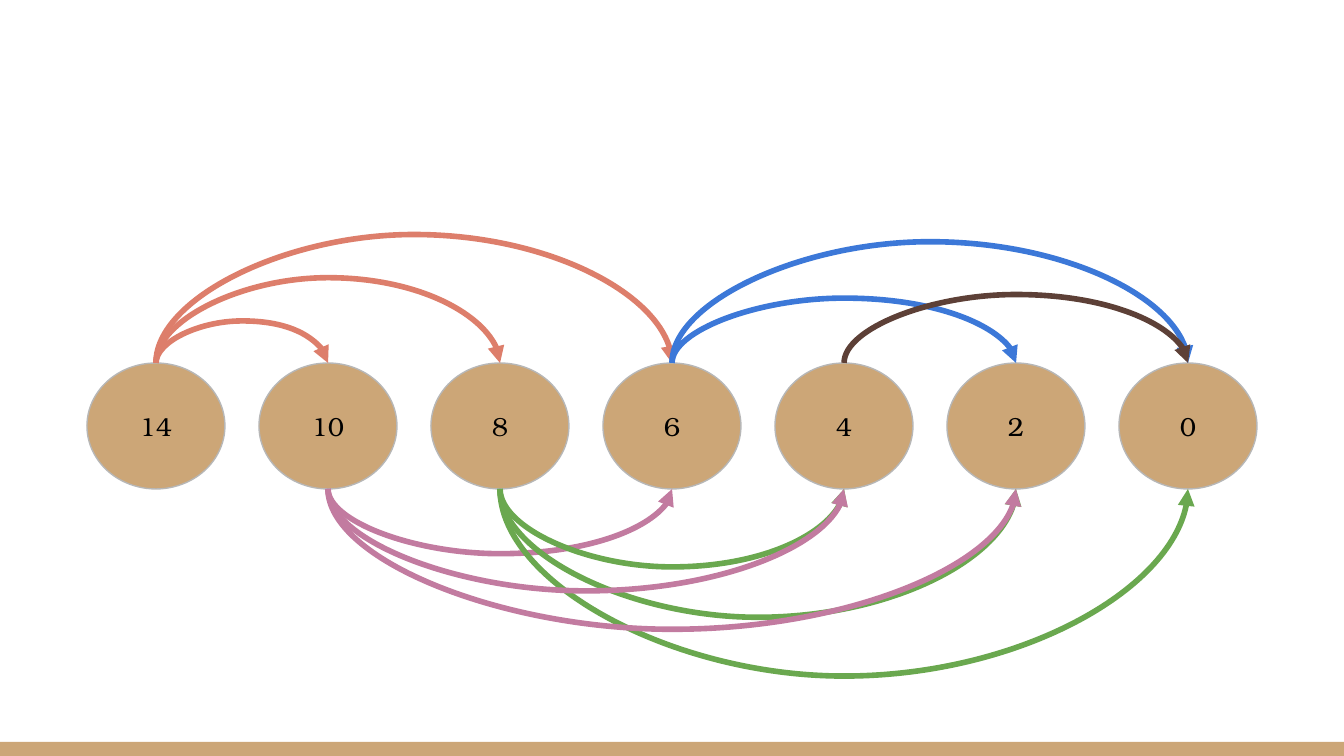
"""Build a slide of seven numbered nodes joined by curved arrows."""
from lxml.etree import SubElement
from pptx import Presentation
from pptx.dml.color import RGBColor as Color
from pptx.enum.shapes import MSO_CONNECTOR as ConnectorType, MSO_SHAPE as Shape
from pptx.enum.text import MSO_ANCHOR as Anchor, PP_ALIGN as Align
from pptx.oxml.ns import qn
from pptx.util import Emu, Pt

PX = 914400 / 134.4
SLIVER = 600
COLORS = {
    "tan": "CCA677", "gray": "B7B7B7", "black": "000000", "coral": "DD7E6B",
    "pink": "C27BA0", "green": "6AA84F", "blue": "3C78D8", "brown": "5D4037",
}
NODE_LEFT, NODE_TOP, NODE_WIDTH, NODE_HEIGHT, NODE_STEP = 87, 363, 138, 126, 172
LABELS = ["14", "10", "8", "6", "4", "2", "0"]
ARCS = [
    ("14", "10", "coral", -35), ("14", "8", "coral", -71), ("14", "6", "coral", -107),
    ("10", "6", "pink", 54), ("8", "4", "green", 65), ("8", "2", "green", 107),
    ("6", "0", "blue", -101), ("6", "2", "blue", -54), ("4", "0", "brown", -57),
    ("8", "0", "green", 156), ("10", "4", "pink", 85), ("10", "2", "pink", 117),
]


def px(length):
    return Emu(round(length * PX))


def write_text(shape, text, size=14, font="TeX Gyre Bonum", color="black"):
    frame = shape.text_frame
    frame.word_wrap = True
    frame.vertical_anchor = Anchor.MIDDLE
    frame.margin_left = frame.margin_right = px(13)
    frame.margin_top = frame.margin_bottom = px(13)
    paragraph = frame.paragraphs[0]
    paragraph.alignment = Align.CENTER
    run = paragraph.add_run()
    run.text = text
    run.font.size = Pt(size)
    run.font.name = font
    run.font.color.rgb = Color.from_string(COLORS[color])


presentation = Presentation()
presentation.slide_width, presentation.slide_height = px(1344), px(756)
slide = presentation.slides.add_slide(presentation.slide_layouts[6])

footer_bar = slide.shapes.add_shape(Shape.RECTANGLE, 0, px(742), px(1344), px(14))
footer_bar.shadow.inherit = False
footer_bar.fill.solid()
footer_bar.fill.fore_color.rgb = Color.from_string(COLORS["tan"])
footer_bar.line.fill.background()

centers = {}
for index, label in enumerate(LABELS):
    left = NODE_LEFT + index * NODE_STEP
    centers[label] = left + NODE_WIDTH // 2
    node = slide.shapes.add_shape(
        Shape.OVAL, px(left), px(NODE_TOP), px(NODE_WIDTH), px(NODE_HEIGHT))
    node.shadow.inherit = False
    node.fill.solid()
    node.fill.fore_color.rgb = Color.from_string(COLORS["tan"])
    node.line.color.rgb = Color.from_string(COLORS["gray"])
    node.line.width = Pt(0.75)
    write_text(node, label)

for source, target, color, bulge in ARCS:
    middle = px((centers[source] + centers[target]) / 2)
    half_span = px((centers[target] - centers[source]) / 2)
    edge = px(NODE_TOP if bulge < 0 else NODE_TOP + NODE_HEIGHT)
    arc = slide.shapes.add_connector(
        ConnectorType.CURVE, middle + SLIVER // 2, edge - half_span,
        middle - SLIVER // 2, edge + half_span)
    arc.line.color.rgb = Color.from_string(COLORS[color])
    arc.line.width = Pt(3)
    properties = arc.element.spPr
    properties.find(qn("a:xfrm")).set("rot", "16200000")
    adjustments = properties.find(qn("a:prstGeom")).find(qn("a:avLst"))
    ratio = round(px(bulge) / SLIVER * 100000)
    SubElement(adjustments, qn("a:gd"), name="adj1", fmla=f"val {ratio}")
    SubElement(properties.find(qn("a:ln")), qn("a:tailEnd"), type="triangle")
    SubElement(properties, qn("a:effectLst"))

presentation.save("out.pptx")
